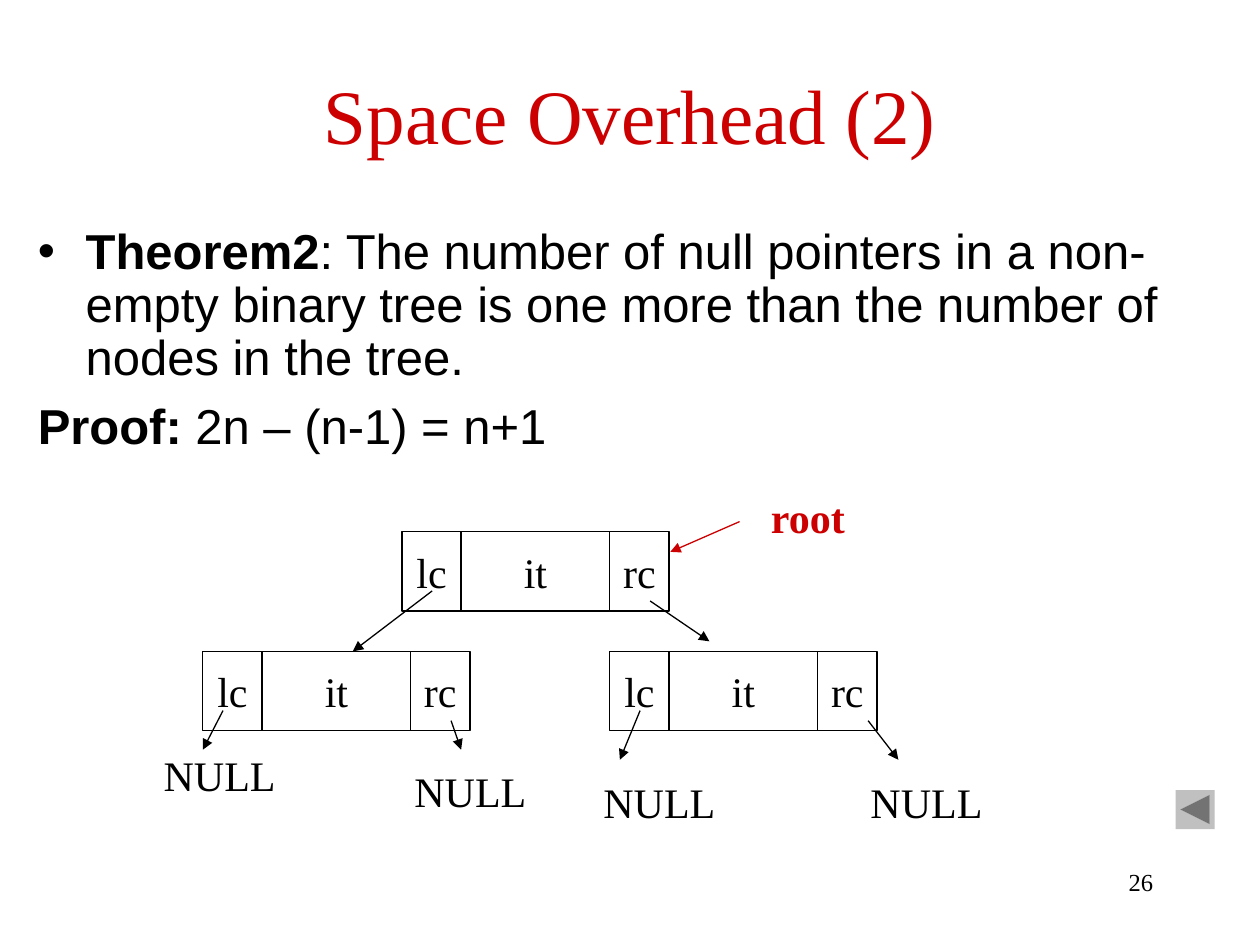
from lxml import etree
from pptx import Presentation
from pptx.dml.color import RGBColor
from pptx.enum.shapes import MSO_CONNECTOR, MSO_SHAPE
from pptx.enum.text import MSO_ANCHOR, MSO_AUTO_SIZE, PP_ALIGN
from pptx.oxml.ns import qn
from pptx.util import Inches, Pt

RECTANGLE = MSO_SHAPE.RECTANGLE
BACK_BUTTON = MSO_SHAPE.ACTION_BUTTON_BACK_OR_PREVIOUS
STRAIGHT = MSO_CONNECTOR.STRAIGHT
MIDDLE, TOP = MSO_ANCHOR.MIDDLE, MSO_ANCHOR.TOP
LEFT, CENTER, RIGHT = PP_ALIGN.LEFT, PP_ALIGN.CENTER, PP_ALIGN.RIGHT
NO_FIT = MSO_AUTO_SIZE.NONE

COLORS = {"black": "000000", "red": "CC0000", "gray": "C0C0C0"}
SERIF, SANS = "Times New Roman", "Arial"


def format_text(shape, size, color="black", align=LEFT, anchor=TOP, bold=False, wrap=False):
    frame = shape.text_frame
    frame.word_wrap = wrap
    frame.vertical_anchor = anchor
    para = frame.paragraphs[0]
    para.alignment = align
    font = para.runs[0].font
    font.name, font.size, font.bold = SERIF, Pt(size), bold
    font.color.rgb = RGBColor.from_string(COLORS[color])


deck = Presentation()
deck.slide_width, deck.slide_height = Inches(10), Inches(7.5)
page = deck.slides.add_slide(deck.slide_layouts[1])

title = page.shapes.title
title.left, title.top, title.width, title.height = Inches(0.5), Inches(0.4), Inches(9), Inches(1)
title.text_frame.text = "Space Overhead (2)"
format_text(title, 44, "red", CENTER, MIDDLE, wrap=True)

body = page.placeholders[1]
body.left, body.top, body.width, body.height = Inches(0.2), Inches(1.75), Inches(9.73), Inches(5)
body.text_frame.auto_size = NO_FIT
statements = [
    ("Theorem2", ": The number of null pointers in a non-empty binary tree is one more "
                 "than the number of nodes in the tree.", 0.9, "buChar"),
    ("Proof: ", "2n – (n-1) = n+1", 1.0, "buNone"),
]
for index, (label, statement, spacing, bullet) in enumerate(statements):
    para = body.text_frame.paragraphs[0] if index == 0 else body.text_frame.add_paragraph()
    para.line_spacing = spacing
    for text, bold in ((label, True), (statement, False)):
        span = para.add_run()
        span.text = text
        span.font.name, span.font.size, span.font.bold = SANS, Pt(28), bold
        span.font.color.rgb = RGBColor.from_string(COLORS["black"])
    properties = para._p.get_or_add_pPr()
    properties.set("marL", str(Inches(0.38)))
    properties.set("indent", str(Inches(-0.38)))
    mark = etree.SubElement(properties, qn(f"a:{bullet}"))
    if bullet == "buChar":
        mark.set("char", "•")

button = page.shapes.add_shape(BACK_BUTTON, Inches(9.33), Inches(6.27), Inches(0.31), Inches(0.31))
button.shadow.inherit = False
button.fill.solid()
button.fill.fore_color.rgb = RGBColor.from_string(COLORS["gray"])
button.line.fill.background()

fields = [("lc", 0, 0.47), ("rc", 1.65, 0.47), ("it", 0.47, 1.18)]
for node_left, node_top in [(3.19, 4.22), (1.61, 5.17), (4.84, 5.17)]:
    node = page.shapes.add_group_shape()
    for name, offset, width in fields:
        cell = node.shapes.add_shape(RECTANGLE, Inches(node_left + offset), Inches(node_top),
                                     Inches(width), Inches(0.63))
        cell.shadow.inherit = False
        cell.fill.background()
        cell.line.color.rgb = RGBColor.from_string(COLORS["black"])
        cell.line.width = Pt(0.75)
        cell.text_frame.text = name
        format_text(cell, 24, align=CENTER, anchor=MIDDLE)

pointers = [
    (3.43, 4.69, 2.8, 5.17, "black"),
    (5.16, 4.77, 5.63, 5.09, "black"),
    (1.77, 5.64, 1.61, 5.95, "black"),
    (3.58, 5.72, 3.66, 5.95, "black"),
    (5.08, 5.64, 4.92, 6.03, "black"),
    (6.89, 5.72, 7.13, 6.03, "black"),
    (5.87, 4.14, 5.32, 4.38, "red"),
]
for *ends, color in pointers:
    arrow = page.shapes.add_connector(STRAIGHT, *map(Inches, ends))
    arrow.line.color.rgb = RGBColor.from_string(COLORS[color])
    arrow.line.width = Pt(0.75)
    etree.SubElement(arrow.line._get_or_add_ln(), qn("a:tailEnd"), type="triangle")
    etree.SubElement(arrow._element.spPr, qn("a:effectLst"))

labels = [
    ("root", 6.02, 3.85, 0.79, "red"),
    ("NULL", 1.2, 5.9, 1.09, "black"),
    ("NULL", 3.19, 6.03, 1.09, "black"),
    ("NULL", 4.69, 6.11, 1.09, "black"),
    ("NULL", 6.81, 6.11, 1.09, "black"),
]
for text, left, top, width, color in labels:
    box = page.shapes.add_textbox(Inches(left), Inches(top), Inches(width), Inches(0.5))
    box.text_frame.text = text
    format_text(box, 24, color, bold=text == "root")

number = page.shapes.add_textbox(Inches(7.17), Inches(6.83), Inches(2.08), Inches(0.5))
number.text_frame.text = "26"
format_text(number, 14, align=RIGHT, wrap=True)

deck.save("out.pptx")
